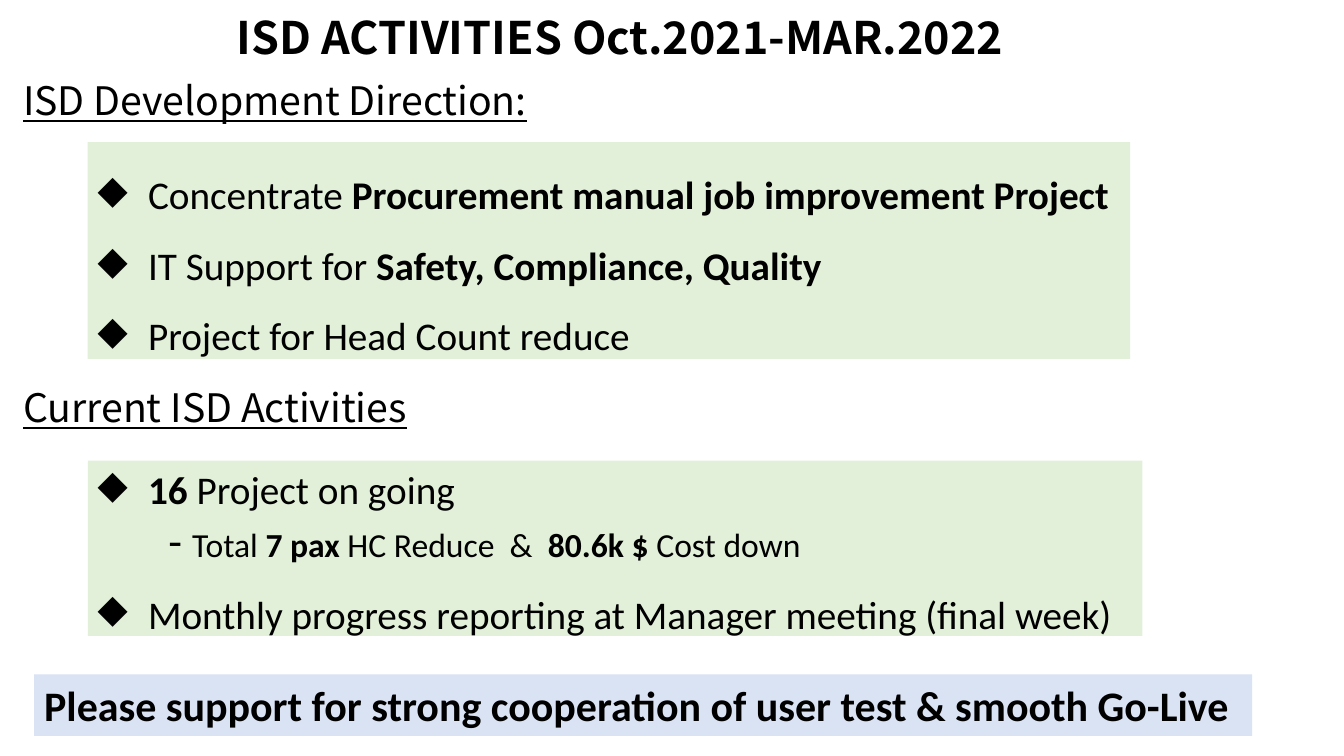
from collections import namedtuple
from dataclasses import dataclass

from lxml.etree import SubElement
from pptx import Presentation
from pptx.dml.color import RGBColor
from pptx.enum.shapes import MSO_SHAPE
from pptx.enum.text import MSO_ANCHOR, MSO_AUTO_SIZE, PP_ALIGN
from pptx.oxml.ns import qn
from pptx.util import Inches, Pt

Box = namedtuple("Box", "x y w h")
Line = namedtuple("Line", "runs size space kind")


@dataclass(frozen=True)
class Theme:
    """Hold the slide's size, colours, fonts and type sizes."""
    wide: int = Inches(13.33)
    high: int = Inches(7.5)
    ink: str = "000000"
    green: str = "E2F0D9"
    blue: str = "DAE3F3"
    head: str = "Noto Sans CJK JP"
    body: str = "Calibri"
    title: int = 32
    large: int = 28
    small: int = 24
    call: int = 30
    row: float = 6.53


THEME = Theme()


def place(box):
    """Turn a box in percent of the slide into lengths."""
    return (int(THEME.wide * box.x / 100), int(THEME.high * box.y / 100),
            int(THEME.wide * box.w / 100), int(THEME.high * box.h / 100))


def style(run, font, size, bold=False, under=False):
    """Set the face of one run."""
    run.font.name = font
    run.font.size = Pt(size)
    run.font.bold = bold
    run.font.underline = under
    run.font.color.rgb = RGBColor.from_string(THEME.ink)


def indent(para, kind):
    """Indent a paragraph and give top-level points a diamond."""
    props = para._p.get_or_add_pPr()
    if kind == "point":
        props.set("marL", str(Inches(0.5)))
        props.set("indent", str(-Inches(0.5)))
        SubElement(props, qn("a:buChar")).set("char", "◆")
    elif kind == "sub":
        props.set("marL", str(Inches(0.7)))


def heading(slide, box, text, size, bold=False, under=False,
            align=PP_ALIGN.LEFT):
    """Write a one-line heading in the middle of its box."""
    frame = slide.shapes.add_textbox(*place(box)).text_frame
    frame.text = text
    frame.word_wrap = True
    frame.vertical_anchor = MSO_ANCHOR.MIDDLE
    frame.margin_left = frame.margin_right = Inches(0.1)
    frame.margin_top = frame.margin_bottom = Inches(0.1)
    para = frame.paragraphs[0]
    para.alignment = align
    para.line_spacing = 0.9
    style(para.runs[0], THEME.head, size, bold, under)


def panel(slide, box, fill, lines):
    """Draw a filled panel holding lines of mixed runs."""
    shape = slide.shapes.add_shape(MSO_SHAPE.RECTANGLE, *place(box))
    shape.shadow.inherit = False
    shape.fill.solid()
    shape.fill.fore_color.rgb = RGBColor.from_string(fill)
    shape.line.fill.background()
    frame = shape.text_frame
    frame.word_wrap = False
    frame.auto_size = MSO_AUTO_SIZE.SHAPE_TO_FIT_TEXT
    frame.vertical_anchor = MSO_ANCHOR.TOP
    for i, line in enumerate(lines):
        para = frame.add_paragraph() if i else frame.paragraphs[0]
        para.alignment = PP_ALIGN.LEFT
        para.line_spacing = line.space
        indent(para, line.kind)
        if line.kind == "sub":
            dash = para.add_run()
            dash.text = "- "
            style(dash, THEME.body, THEME.title)
        for text, bold in line.runs:
            run = para.add_run()
            run.text = text
            style(run, THEME.body, line.size, bold)


def section(slide, box, drop, width, title, lines):
    """Place an underlined heading and its panel inside a box."""
    heading(slide, Box(box.x, box.y, 74.79, THEME.row), title,
            THEME.large, under=True)
    inner = Box(box.x + 5.55, box.y + drop, width, box.h - drop)
    panel(slide, inner, THEME.green, lines)


def point(*runs, space=1.5):
    """Make a top-level point."""
    return Line(runs, THEME.large, space, "point")


def main():
    """Build and save the slide."""
    deck = Presentation()
    deck.slide_width, deck.slide_height = THEME.wide, THEME.high
    slide = deck.slides.add_slide(deck.slide_layouts[6])
    heading(slide, Box(8.18, 2, 75.92, THEME.row),
            "ISD ACTIVITIES Oct.2021-MAR.2022", THEME.title,
            bold=True, align=PP_ALIGN.CENTER)
    section(slide, Box(0.98, 10.27, 83.12, 37.2), 8.53, 77.57,
            "ISD Development Direction:", [
                point(("Concentrate ", False),
                      ("Procurement manual job improvement Project", True)),
                point(("IT Support for ", False),
                      ("Safety, Compliance, Quality", True)),
                point(("Project for Head Count reduce", False))])
    totals = (("Total ", False), ("7 pax ", True),
              ("HC Reduce  &  ", False), ("80.6k $", True),
              (" Cost down", False))
    section(slide, Box(0.98, 50.93, 84.02, 33.2), 10, 78.47,
            "Current ISD Activities", [
                point(("16", True), (" Project on going", False), space=1.0),
                Line(totals, THEME.small, 1.0, "sub"),
                point(("Monthly progress reporting at Manager meeting "
                       "(final week)", False))])
    plea = ("Please support for strong cooperation of user test "
            "& smooth Go-Live")
    panel(slide, Box(2.55, 89.2, 90.62, 8.13), THEME.blue,
          [Line([(plea, True)], THEME.call, 1.0, "plain")])
    deck.save("out.pptx")


if __name__ == "__main__":
    main()
